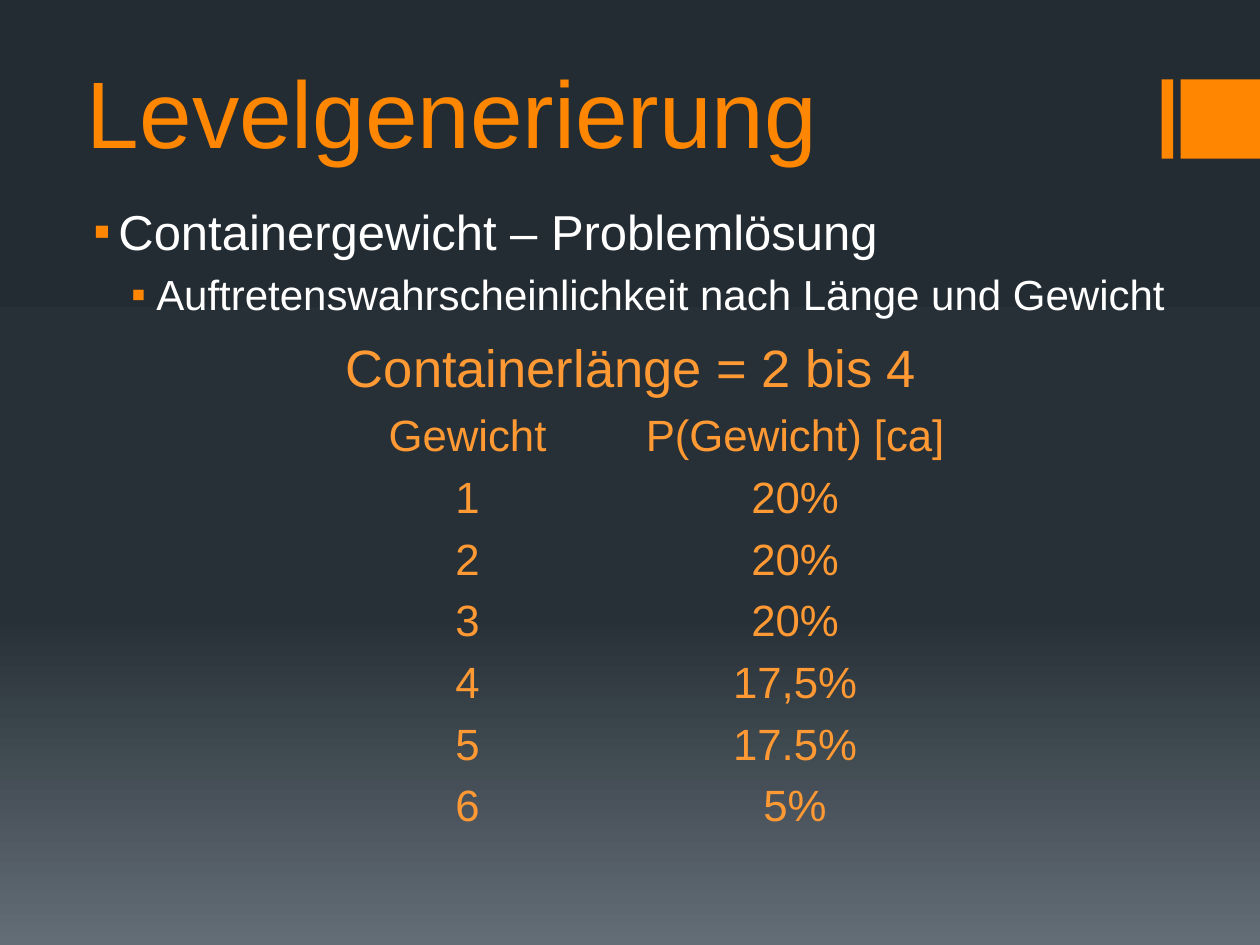
"""Build the slide on level generation with its weight table."""
from copy import deepcopy
from pptx import Presentation
from pptx.dml.color import RGBColor as Rgb
from pptx.enum.shapes import MSO_SHAPE as Shape
from pptx.enum.text import MSO_ANCHOR as Anchor, PP_ALIGN as Align
from pptx.oxml import parse_xml
from pptx.oxml.ns import nsdecls, qn
from pptx.util import Inches, Pt

ORANGE = Rgb(0xFF, 0x86, 0x00)
AMBER = Rgb(0xFF, 0x99, 0x33)
WHITE = Rgb(0xFF, 0xFF, 0xFF)
STOPS = [(0, Rgb(0x24, 0x2C, 0x33)), (0.65, Rgb(0x27, 0x30, 0x37)),
         (1, Rgb(0x63, 0x6D, 0x76))]
PLAIN = "{2D5ABB26-0587-4C30-8999-92F81FD0307C}"

TITLE = "Levelgenerierung"
BULLETS = [("Containergewicht – Problemlösung", 28, 0.25),
           ("Auftretenswahrscheinlichkeit nach Länge und Gewicht", 24, 0.55)]
HEAD = "Containerlänge = 2 bis 4"
ROWS = [("Gewicht", "P(Gewicht) [ca]"), ("1", "20%"), ("2", "20%"),
        ("3", "20%"), ("4", "17,5%"), ("5", "17.5%"), ("6", "5%")]
BARS = [(9.22, 0.09), (9.37, 0.63)]


def write(para, text, size, color, align=Align.LEFT):
    run = para.add_run()
    run.text = text
    run.font.name = "Arial"
    run.font.size = Pt(size)
    run.font.color.rgb = color
    para.alignment = align


def place(shape, *box):
    shape.left, shape.top, shape.width, shape.height = map(Inches, box)


def bullet(para, left):
    props = para._p.get_or_add_pPr()
    props.set("marL", str(Inches(left)))
    props.set("indent", str(Inches(-0.2)))
    for tag in (f'<a:buClr {nsdecls("a")}><a:srgbClr val="{ORANGE}"/></a:buClr>',
                f'<a:buFont {nsdecls("a")} typeface="Arial"/>',
                f'<a:buChar {nsdecls("a")} char="▪"/>'):
        props.append(parse_xml(tag))


def fill_cell(cell, text, size):
    cell.fill.background()
    cell.margin_top = cell.margin_bottom = Inches(0.04)
    cell.vertical_anchor = Anchor.MIDDLE
    write(cell.text_frame.paragraphs[0], text, size, AMBER, Align.CENTER)


deck = Presentation()
deck.slide_width, deck.slide_height = Inches(10), Inches(7.5)
slide = deck.slides.add_slide(deck.slide_layouts[1])

back = slide.background.fill
back.gradient()
back.gradient_angle = 270
stops = slide._element.find(".//" + qn("a:gsLst"))
stops.append(deepcopy(stops[-1]))
for stop, (pos, color) in zip(back.gradient_stops, STOPS):
    stop.position = pos
    stop.color.rgb = color

for left, width in BARS:
    bar = slide.shapes.add_shape(Shape.RECTANGLE, 0, 0, 0, 0)
    place(bar, left, 0.63, width, 0.63)
    bar.shadow.inherit = False
    bar.fill.solid()
    bar.fill.fore_color.rgb = ORANGE
    bar.line.fill.background()

title = slide.shapes.title
place(title, 0.59, 0.36, 8.41, 1.03)
title.text_frame.vertical_anchor = Anchor.MIDDLE
write(title.text_frame.paragraphs[0], TITLE, 54, ORANGE)

body = slide.placeholders[1]
place(body, 0.59, 1.55, 8.82, 5.35)
frame = body.text_frame
for level, (text, size, left) in enumerate(BULLETS):
    para = frame.add_paragraph() if level else frame.paragraphs[0]
    para.level = level
    para.space_before = Pt(size * 0.2)
    write(para, text, size, WHITE)
    bullet(para, left)

grid = slide.shapes.add_table(len(ROWS) + 1, 2, Inches(2.41), Inches(2.65),
                              Inches(5.2), Inches(4))
table = grid.table
table._tbl.tblPr.find(qn("a:tableStyleId")).text = PLAIN
table.first_row = table.horz_banding = False
for num, row in enumerate(table.rows):
    row.height = Inches(0.49 if num else 0.57)
table.cell(0, 0).merge(table.cell(0, 1))
fill_cell(table.cell(0, 0), HEAD, 30)
for num, row in enumerate(ROWS, 1):
    for col, text in enumerate(row):
        fill_cell(table.cell(num, col), text, 25)

deck.save("out.pptx")
